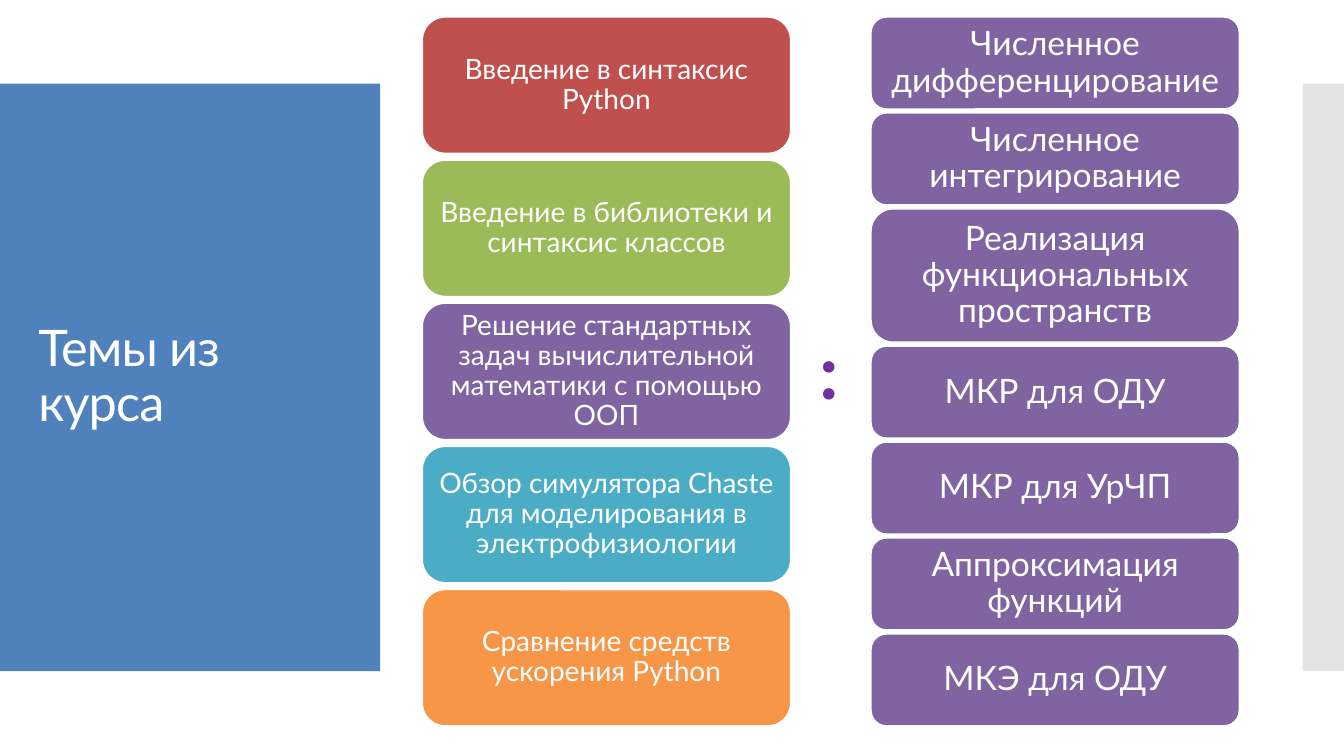
from pptx import Presentation
from pptx.dml.color import RGBColor
from pptx.enum.shapes import MSO_SHAPE
from pptx.enum.text import MSO_ANCHOR, MSO_AUTO_SIZE, PP_ALIGN
from pptx.oxml.ns import qn
from pptx.util import Inches, Pt
from lxml import etree

RECT, ROUNDED = MSO_SHAPE.RECTANGLE, MSO_SHAPE.ROUNDED_RECTANGLE
MIDDLE, NO_FIT = MSO_ANCHOR.MIDDLE, MSO_AUTO_SIZE.NONE
LEFT, CENTER = PP_ALIGN.LEFT, PP_ALIGN.CENTER

FONT = "Lato"
WHITE = RGBColor(0xFF, 0xFF, 0xFF)
BLUE = RGBColor(0x4F, 0x81, 0xBD)
GREY = RGBColor(0xC8, 0xC8, 0xC8)
RED = RGBColor(0xC0, 0x50, 0x4D)
GREEN = RGBColor(0x9B, 0xBB, 0x59)
PURPLE = RGBColor(0x80, 0x64, 0xA2)
TEAL = RGBColor(0x4B, 0xAC, 0xC6)
ORANGE = RGBColor(0xF7, 0x96, 0x46)
VIOLET = RGBColor(0x70, 0x30, 0xA0)

# Each card: text, fill, height in inches
TOPICS = [
    ("Введение в синтаксис Python", RED, 1.35),
    ("Введение в библиотеки и синтаксис классов", GREEN, 1.35),
    ("Решение стандартных задач вычислительной математики с помощью ООП",
     PURPLE, 1.35),
    ("Обзор симулятора Chaste для моделирования в электрофизиологии",
     TEAL, 1.35),
    ("Сравнение средств ускорения Python", ORANGE, 1.35),
]
METHODS = [
    ("Численное дифференцирование", PURPLE, 0.91),
    ("Численное интегрирование", PURPLE, 0.91),
    ("Реализация функциональных пространств", PURPLE, 1.32),
    ("МКР для ОДУ", PURPLE, 0.91),
    ("МКР для УрЧП", PURPLE, 0.91),
    ("Аппроксимация функций", PURPLE, 0.91),
    ("МКЭ для ОДУ", PURPLE, 0.91),
]


def write(tf, text, size, color, align=LEFT, spacing=0.9):
    """Set one formatted paragraph and return its run."""
    tf.text = text
    p = tf.paragraphs[0]
    p.alignment, p.line_spacing = align, spacing
    r = p.runs[0]
    r.font.name, r.font.size, r.font.color.rgb = FONT, Pt(size), color
    return r


def add_block(s, kind, x, y, w, h, color):
    """Add a filled shape without line or shadow."""
    sp = s.shapes.add_shape(kind, Inches(x), Inches(y), Inches(w), Inches(h))
    sp.shadow.inherit = False
    sp.fill.solid()
    sp.fill.fore_color.rgb = color
    sp.line.fill.background()
    return sp


def add_title_panel(s, x, y, w, h):
    """Place the blue panel with the slide title on it."""
    add_block(s, RECT, x, y, w, h, BLUE)
    title = s.shapes.title
    title.element.getparent().append(title.element)
    title.left, title.top = Inches(x + 0.28), Inches(y + 0.4)
    title.width, title.height = Inches(w - 0.55), Inches(h - 0.8)
    tf = title.text_frame
    tf.word_wrap, tf.auto_size, tf.vertical_anchor = True, NO_FIT, MIDDLE
    r = write(tf, "Темы из курса", 36, WHITE)
    r.font._element.set("spc", "-60")


def add_edge_bar(s, x, y, w, h):
    """Place the half-transparent grey bar at the right edge."""
    bar = add_block(s, RECT, x, y, w, h, GREY)
    clr = bar.element.spPr.find(qn("a:solidFill")).find(qn("a:srgbClr"))
    etree.SubElement(clr, qn("a:alpha")).set("val", "50000")


def add_card_column(s, x, y, w, h, cards, size, inset):
    """Stack cards with equal gaps so that they fill the box."""
    gap = (h - sum(card[2] for card in cards)) / (len(cards) - 1)
    for text, color, card_h in cards:
        sp = add_block(s, ROUNDED, x, y, w, card_h, color)
        sp.line.color.rgb = WHITE
        sp.line.width = Pt(0.85)
        tf = sp.text_frame
        tf.word_wrap, tf.vertical_anchor = True, MIDDLE
        tf.margin_left = tf.margin_right = Inches(inset)
        tf.margin_top = tf.margin_bottom = Inches(0.04)
        write(tf, text, size, WHITE, CENTER)
        y += card_h + gap


def add_colon(s, x, y, w, h):
    """Place the large colon between the two columns."""
    box = s.shapes.add_textbox(Inches(x), Inches(y), Inches(w), Inches(h))
    r = write(box.text_frame, ":", 54, VIOLET, spacing=1.0)
    r.font.bold = True


def main():
    """Build and save the slide."""
    prs = Presentation()
    prs.slide_width, prs.slide_height = Inches(13.33), Inches(7.5)
    s = prs.slides.add_slide(prs.slide_layouts[5])
    add_title_panel(s, 0, 0.83, 3.77, 5.83)
    add_edge_bar(s, 12.92, 0.83, 0.41, 5.83)
    add_card_column(s, 4.19, 0.17, 3.65, 7.03, TOPICS, 20, 0.08)
    add_card_column(s, 8.64, 0.17, 3.65, 7.03, METHODS, 24, 0.1)
    add_colon(s, 8.03, 3.16, 0.41, 1.01)
    prs.save("out.pptx")


main()
